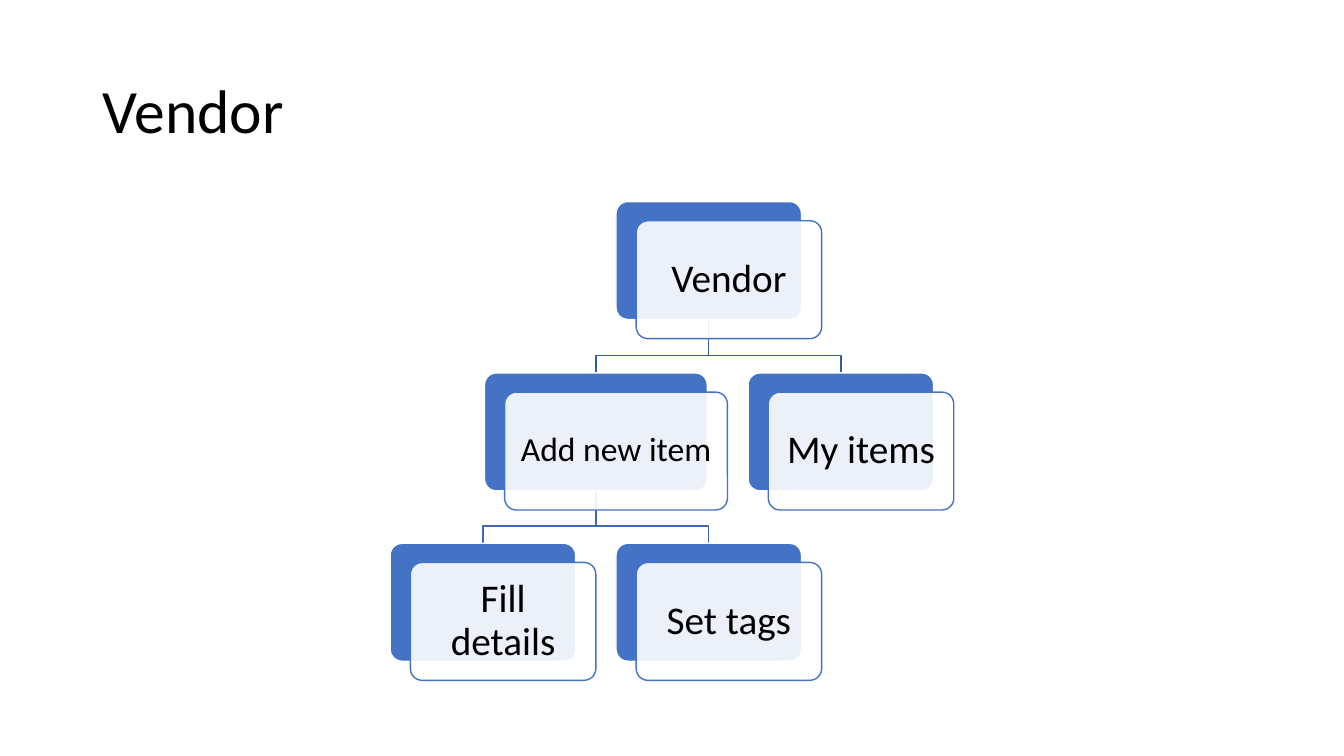
from lxml import etree
from pptx import Presentation
from pptx.dml.color import RGBColor
from pptx.enum import shapes, text
from pptx.oxml.ns import qn
from pptx.util import Inches, Pt

# Content
TITLE = "Vendor"
# name: (centre x of back card, level, width, text size, inset)
NODES = {
    "Vendor": (7.03, 0, 1.84, 28, 0.12),
    "Add new item": (5.91, 1, 2.21, 24, 0.1),
    "Fill details": (4.79, 2, 1.84, 28, 0.12),
    "Set tags": (7.03, 2, 1.84, 28, 0.12),
    "My items": (8.34, 1, 1.84, 28, 0.12),
}
# parent, child, colour
LINKS = [
    ("Vendor", "My items", "link_top"),
    ("Add new item", "Set tags", "link_low"),
    ("Add new item", "Fill details", "link_low"),
    ("Vendor", "Add new item", "link_top"),
]
COLORS = {"card": "4472C4", "white": "FFFFFF", "text": "000000",
          "link_top": "365B9D", "link_low": "3E67B2"}
TOPS = [2, 3.7, 5.39]
CARD_H, SHIFT_X, SHIFT_Y, DROP = 1.17, 0.2, 0.19, 0.17


def rgb(name):
    return RGBColor.from_string(COLORS[name])


def write(sp, words, size, align, inset_x, inset_y):
    tf = sp.text_frame
    frame = {"word_wrap": True, "vertical_anchor": text.MSO_ANCHOR.MIDDLE,
             "margin_left": Inches(inset_x), "margin_right": Inches(inset_x),
             "margin_top": Inches(inset_y), "margin_bottom": Inches(inset_y)}
    for key, value in frame.items():
        setattr(tf, key, value)
    p = tf.paragraphs[0]
    p.alignment, p.line_spacing = align, 0.9
    r = p.add_run()
    r.text = words
    for key, value in {"name": "Calibri", "size": Pt(size)}.items():
        setattr(r.font, key, value)
    r.font.color.rgb = rgb("text")


def outline(sp, color):
    sp.shadow.inherit = False
    sp.line.color.rgb = rgb(color)
    sp.line.width = Pt(1)


def card(s, x, y, w, fill, line):
    sp = s.shapes.add_shape(shapes.MSO_SHAPE.ROUNDED_RECTANGLE,
                            Inches(x), Inches(y), Inches(w), Inches(CARD_H))
    sp.adjustments[0] = 0.1
    sp.fill.solid()
    sp.fill.fore_color.rgb = rgb(fill)
    outline(sp, line)
    return sp


def link(s, parent, child, color):
    x1, level1 = NODES[parent][:2]
    x2, level2 = NODES[child][:2]
    y1, y2 = TOPS[level1] + CARD_H, TOPS[level2]
    bend = y2 - DROP
    fb = s.shapes.build_freeform(Inches(x1), Inches(y1))
    points = [(x1, bend), (x2, bend), (x2, y2)]
    fb.add_line_segments([(Inches(x), Inches(y)) for x, y in points], close=False)
    sp = fb.convert_to_shape()
    sp.fill.background()
    outline(sp, color)


def node(s, name):
    cx, level, w, size, inset = NODES[name]
    x, y = cx - w / 2, TOPS[level]
    card(s, x, y, w, "card", "white")
    front = card(s, x + SHIFT_X, y + SHIFT_Y, w, "white", "card")
    color = front.fill._xPr.find(qn("a:solidFill"))[0]
    etree.SubElement(color, qn("a:alpha"), val="90000")
    write(front, name, size, text.PP_ALIGN.CENTER, inset, inset)


def main():
    prs = Presentation()
    prs.slide_width, prs.slide_height = Inches(13.33), Inches(7.5)
    s = prs.slides.add_slide(prs.slide_layouts[6])

    # Title
    box = s.shapes.add_textbox(Inches(0.92), Inches(0.4), Inches(11.5), Inches(1.45))
    write(box, TITLE, 44, text.PP_ALIGN.LEFT, 0.1, 0.05)

    # Hierarchy: links behind, cards in front
    for parent, child, color in LINKS:
        link(s, parent, child, color)
    for name in NODES:
        node(s, name)

    prs.save("out.pptx")


if __name__ == "__main__":
    main()
